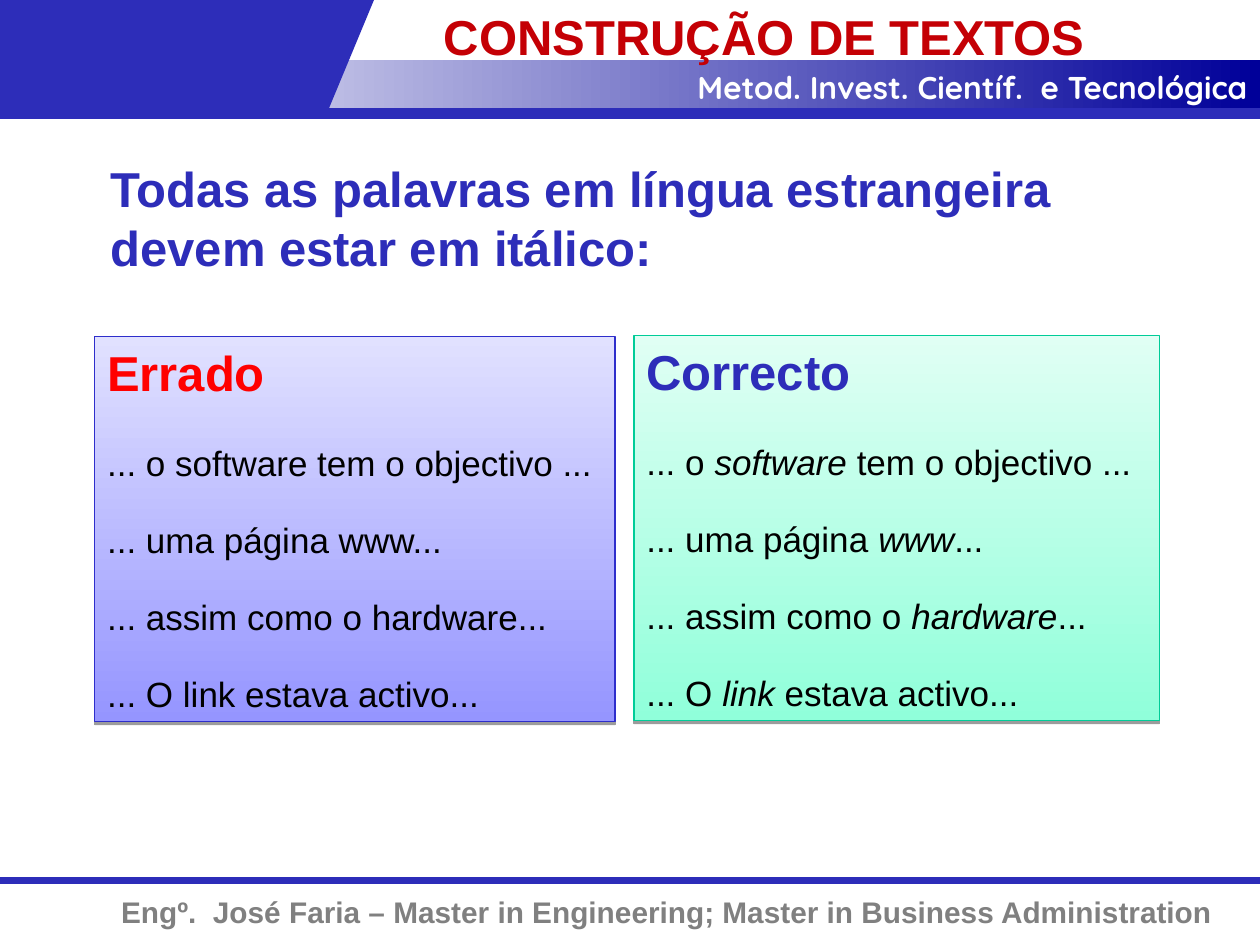
from dataclasses import dataclass

from lxml.etree import SubElement
from pptx import Presentation
from pptx.dml.color import RGBColor
from pptx.enum.shapes import MSO_CONNECTOR, MSO_SHAPE
from pptx.enum.text import MSO_ANCHOR, PP_ALIGN
from pptx.oxml.ns import qn
from pptx.util import Cm, Pt

WIDE, HIGH = 25.4, 19.05


@dataclass(frozen=True)
class Theme:
    blue: str = "2D2DB9"
    navy: str = "000099"
    white: str = "FFFFFF"
    black: str = "000000"
    grey: str = "808080"
    red: str = "FF0000"
    wine: str = "C40005"
    cool: tuple = ("E1E1FF", "9595FF", "2E2ECB")  # top, bottom, edge
    mint: tuple = ("E0FFF4", "90FFDA", "00CC98")
    font: str = "Arial"
    course: str = "Quicksand"
    head: int = 28
    body: int = 20
    sub: int = 18
    foot: int = 17


def rgb(code):
    return RGBColor.from_string(code)


def write(para, text, size, color, font, bold=False,
          align=PP_ALIGN.LEFT, before=0, after=0):
    """Fill a paragraph; words between asterisks turn italic."""
    para.alignment = align
    para.space_before, para.space_after = Pt(before), Pt(after)
    for num, part in enumerate(text.split("*")):
        if not part:
            continue
        run = para.add_run()
        run.text = part
        face = run.font
        face.name, face.size, face.bold = font, Pt(size), bold
        face.italic = num % 2 == 1
        face.color.rgb = rgb(color)


class Deck:
    def __init__(self, theme):
        self.theme = theme
        self.file = Presentation()
        self.file.slide_width, self.file.slide_height = Cm(WIDE), Cm(HIGH)
        self.slide = self.file.slides.add_slide(self.file.slide_layouts[6])

    def shape(self, kind, left, top, width, height, fill):
        """Add a borderless shape with one plain colour."""
        item = self.slide.shapes.add_shape(
            kind, Cm(left), Cm(top), Cm(width), Cm(height))
        item.shadow.inherit = False
        item.fill.solid()
        item.fill.fore_color.rgb = rgb(fill)
        item.line.fill.background()
        return item

    def blend(self, left, top, width, height, start, end, angle):
        """Add a rectangle with a two-colour gradient."""
        item = self.shape(MSO_SHAPE.RECTANGLE, left, top, width, height, start)
        item.fill.gradient()
        item.fill.gradient_angle = angle
        for stop, code in zip(item.fill.gradient_stops, (start, end)):
            stop.color.rgb = rgb(code)
        return item

    def rule(self, top, weight):
        """Draw a line across the whole slide."""
        line = self.slide.shapes.add_connector(
            MSO_CONNECTOR.STRAIGHT, 0, Cm(top), Cm(WIDE), Cm(top))
        line.line.color.rgb = rgb(self.theme.blue)
        line.line.width = Pt(weight)
        SubElement(line._element.spPr, qn("a:effectLst"))

    def label(self, left, top, width, height, text, size, color,
              font=None, **look):
        box = self.slide.shapes.add_textbox(
            Cm(left), Cm(top), Cm(width), Cm(height))
        frame = box.text_frame
        frame.word_wrap = True
        write(frame.paragraphs[0], text, size, color,
              font or self.theme.font, bold=True, **look)

    def panel(self, left, top, width, height, tones, title, color, lines):
        """Add a shaded card with a heading and sample lines."""
        light, dark, edge = tones
        card = self.blend(left, top, width, height, light, dark, 270)
        card.line.color.rgb = rgb(edge)
        card.line.width = Pt(0.75)
        self.shade(card)
        theme, frame = self.theme, card.text_frame
        frame.word_wrap = True
        frame.vertical_anchor = MSO_ANCHOR.TOP
        write(frame.paragraphs[0], title, theme.head, color, theme.font,
              bold=True, after=10.5)
        for line in lines:
            write(frame.add_paragraph(), line, theme.body, theme.black,
                  theme.font, before=12.5, after=7.5)

    def shade(self, card):
        """Cast a hard, faint shadow straight down."""
        effects = card._element.spPr.find(qn("a:effectLst"))
        cast = SubElement(effects, qn("a:outerShdw"), blurRad="0",
                          dist=str(Pt(1.6)), dir="5400000", rotWithShape="0")
        tint = SubElement(cast, qn("a:srgbClr"), val=self.theme.black)
        SubElement(tint, qn("a:alpha"), val="38000")


def main():
    theme = Theme()
    deck = Deck(theme)

    deck.rule(17.75, 4)
    deck.label(0, 17.9, 24.7, 1, "Engº.  José Faria – Master in Engineering; "
               "Master in Business Administration", theme.foot, theme.grey,
               align=PP_ALIGN.RIGHT)

    deck.blend(0, 1.22, WIDE, 0.98, theme.white, theme.navy, 0)
    deck.shape(MSO_SHAPE.FLOWCHART_DATA, 2.97, 0, 4.57, 2.2, theme.blue)
    deck.shape(MSO_SHAPE.RECTANGLE, 0, 0, 4.04, 2.2, theme.blue)
    deck.label(11.07, 1.24, 14.33, 1.02,
               "Metod. Invest. Científ.  e Tecnológica", theme.sub,
               theme.white, theme.course, align=PP_ALIGN.RIGHT)
    deck.rule(2.29, 6)

    deck.label(1.98, 3.07, 20.93, 2.64, "Todas as palavras em língua "
               "estrangeira devem estar em itálico:", theme.head, theme.blue)
    lines = ("... o *software* tem o objectivo ...",
             "... uma página *www*...",
             "... assim como o *hardware*...",
             "... O *link* estava activo...")
    plain = [line.replace("*", "") for line in lines]
    deck.panel(1.91, 6.78, 10.49, 7.77, theme.cool, "Errado", theme.red, plain)
    deck.panel(12.78, 6.76, 10.59, 7.77, theme.mint, "Correcto", theme.blue,
               lines)
    deck.label(8.7, 0, 16.7, 1.22, "CONSTRUÇÃO DE TEXTOS", theme.head,
               theme.wine)

    deck.file.save("out.pptx")


if __name__ == "__main__":
    main()
